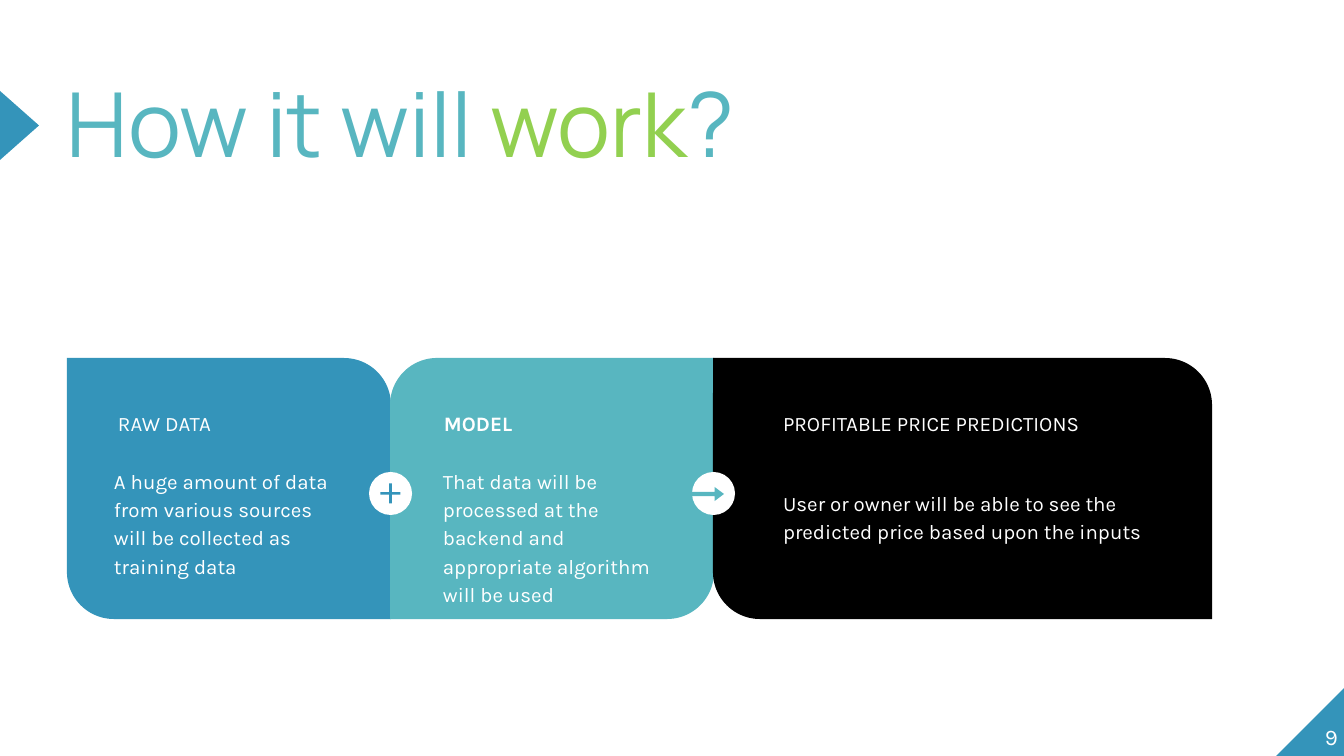
"""Build the slide that explains how the price model will work."""
from pptx import Presentation, util as u
from pptx.dml.color import RGBColor
from pptx.enum import shapes, text

BLUE = RGBColor(0x34, 0x94, 0xBA)
TEAL = RGBColor(0x58, 0xB6, 0xC0)
GREEN = RGBColor(0x92, 0xD0, 0x50)
BLACK = RGBColor(0, 0, 0)
WHITE = RGBColor(255, 255, 255)
KIND = shapes.MSO_SHAPE
SCALE = 914400 / 134.4


def place(kind, box, fill, adjust=(), turn=0):
    item = slide.shapes.add_shape(kind, *[u.Emu(round(n * SCALE)) for n in box])
    item.shadow.inherit = False
    item.fill.solid()
    item.fill.fore_color.rgb = fill
    item.line.fill.background()
    item.rotation = turn
    for i, value in enumerate(adjust):
        item.adjustments[i] = value


def write(runs, box, item=None, size=11, font="Karla", bold=False, pad=13, space=1.0,
          after=0, align=text.PP_ALIGN.LEFT, anchor=text.MSO_ANCHOR.TOP):
    edges = [u.Emu(round(n * SCALE)) for n in box]
    item = item or slide.shapes.add_textbox(*edges)
    item.left, item.top, item.width, item.height = edges
    frame = item.text_frame
    frame.word_wrap = True
    frame.auto_size = text.MSO_AUTO_SIZE.NONE
    frame.vertical_anchor = anchor
    inset = u.Emu(round(pad * SCALE))
    frame.margin_left = frame.margin_right = inset
    frame.margin_top = frame.margin_bottom = inset
    para = frame.paragraphs[0]
    para.alignment = align
    para.line_spacing = space
    para.space_after = u.Pt(after)
    for words, color in runs:
        run = para.add_run()
        run.text = words
        run.font.size = u.Pt(size)
        run.font.name = font
        run.font.bold = bold
        run.font.color.rgb = color


deck = Presentation()
deck.slide_width = u.Emu(round(1344 * SCALE))
deck.slide_height = u.Emu(round(756 * SCALE))
slide = deck.slides.add_slide(deck.slide_layouts[5])

place(KIND.RIGHT_TRIANGLE, (1276, 688, 68, 68), BLUE, turn=270)
place(KIND.ISOSCELES_TRIANGLE, (-15, 106, 69, 39), BLUE, turn=90)
write([("How it will ", TEAL), ("work", GREEN), ("?", TEAL)], (67, 89, 829, 159),
      item=slide.shapes.title, size=48, font="Manrope", pad=0, space=0.8)
write([("9", WHITE)], (1271, 681, 67, 69), size=12, pad=0,
      align=text.PP_ALIGN.RIGHT, anchor=text.MSO_ANCHOR.BOTTOM)

cards = [
    (67, 324, BLUE, (0, 0.18), "RAW DATA", 105, False,
     "A huge amount of data from various sources will be collected as training data",
     101, 452, 242),
    (390, 324, TEAL, (0.18, 0), "MODEL", 431, True,
     "That data will be processed at the backend and appropriate algorithm will be used",
     430, 452, 242),
    (713, 499, BLACK, (0, 0.18), "PROFITABLE PRICE PREDICTIONS", 770, False,
     "User or owner will be able to see the predicted price based upon the inputs",
     770, 474, 402),
]
for left, width, fill, round_by, head, head_x, bold, body, body_x, body_y, wide in cards:
    place(KIND.ROUND_2_DIAG_RECTANGLE, (left, 358, width, 261), fill, round_by)
    write([(head, WHITE)], (head_x, 398, wide, 77), bold=bold)
    write([(body, WHITE)], (body_x, body_y, wide, 85), space=1.15, after=16)

for left in (369, 692):
    place(KIND.OVAL, (left, 472, 43, 43), WHITE)
place(KIND.MATH_PLUS, (377, 480, 27, 27), BLUE, (0.1,))
place(KIND.RIGHT_ARROW, (692, 487, 32, 14), TEAL, (0.32, 0.67))

deck.save("out.pptx")
